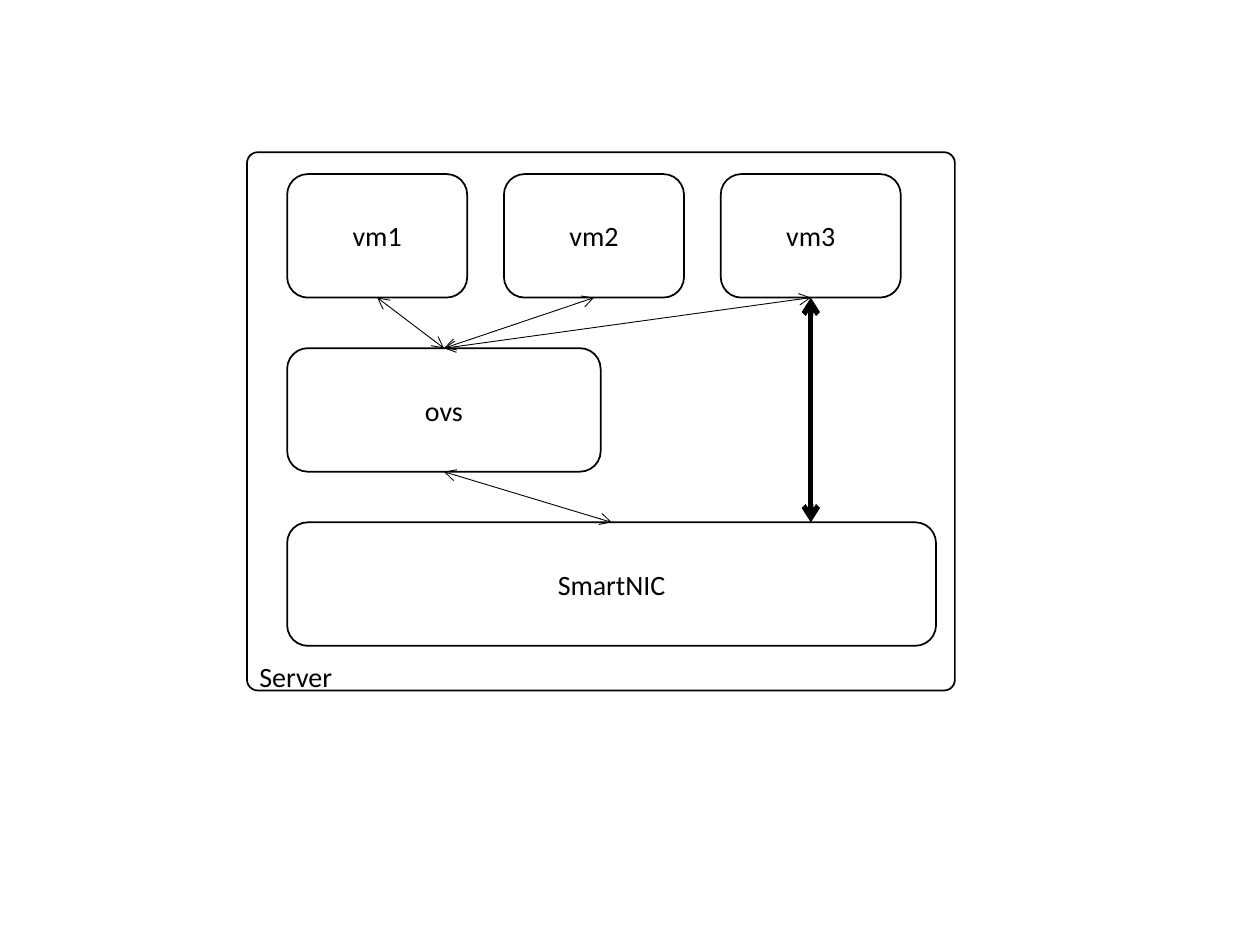
from lxml import etree
from pptx import Presentation
from pptx.dml.color import RGBColor
from pptx.enum.shapes import MSO_CONNECTOR, MSO_SHAPE
from pptx.enum.text import MSO_ANCHOR, MSO_AUTO_SIZE, PP_ALIGN
from pptx.oxml.ns import qn
from pptx.util import Cm, Pt

BLACK = RGBColor(0x00, 0x00, 0x00)
ROUNDED = MSO_SHAPE.ROUNDED_RECTANGLE
STRAIGHT = MSO_CONNECTOR.STRAIGHT
MIDDLE = MSO_ANCHOR.MIDDLE
CENTER = PP_ALIGN.CENTER
FIT_SHAPE = MSO_AUTO_SIZE.SHAPE_TO_FIT_TEXT
TOP, BOTTOM = 0, 2

LEFT = 5.79
BOX_HEIGHT = 2.49
VM_WIDTH, VM_STEP = 3.63, 4.37
VM_TOP, OVS_TOP, NIC_TOP = 3.51, 7.02, 10.53

presentation = Presentation()
presentation.slide_width = Cm(25.4)
presentation.slide_height = Cm(19.05)
slide = presentation.slides.add_slide(presentation.slide_layouts[6])


def add_box(left, top, width, height, label=""):
    shape = slide.shapes.add_shape(ROUNDED, Cm(left), Cm(top), Cm(width), Cm(height))
    shape.shadow.inherit = False
    shape.fill.background()
    shape.line.color.rgb = BLACK
    shape.line.width = Pt(1)
    if label:
        shape.text_frame.text = label
        shape.text_frame.vertical_anchor = MIDDLE
        paragraph = shape.text_frame.paragraphs[0]
        paragraph.alignment = CENTER
        format_run(paragraph.runs[0])
    return shape


def format_run(run):
    run.font.name = "Calibri"
    run.font.size = Pt(16)
    run.font.color.rgb = BLACK


# Server frame and its label
server = add_box(4.98, 3.07, 14.27, 10.85)
server.adjustments[0] = 0.02
server_label = slide.shapes.add_textbox(Cm(4.98), Cm(13.18), Cm(1.98), Cm(0.94))
server_label.text_frame.text = "Server"
server_label.text_frame.auto_size = FIT_SHAPE
format_run(server_label.text_frame.paragraphs[0].runs[0])

# Virtual machines, switch and network card
vms = [
    add_box(LEFT + index * VM_STEP, VM_TOP, VM_WIDTH, BOX_HEIGHT, f"vm{index + 1}")
    for index in range(3)
]
ovs = add_box(LEFT, OVS_TOP, 6.32, BOX_HEIGHT, "ovs")
smart_nic = add_box(LEFT, NIC_TOP, 13.08, BOX_HEIGHT, "SmartNIC")

# Two-way arrows: start box, side, end box, side, width
links = [(vm, BOTTOM, ovs, TOP, 0.5) for vm in vms]
links.append((smart_nic, TOP, ovs, BOTTOM, 0.5))
links.append((None, TOP, vms[2], BOTTOM, 3))  # direct path to the card's top edge
direct_x = vms[2].left + vms[2].width // 2

for start, start_side, end, end_side, width in links:
    connector = slide.shapes.add_connector(
        STRAIGHT, direct_x, smart_nic.top, direct_x, smart_nic.top
    )
    if start is not None:
        connector.begin_connect(start, start_side)
    connector.end_connect(end, end_side)
    connector.line.color.rgb = BLACK
    connector.line.width = Pt(width)
    line = connector.line._get_or_add_ln()
    for tag in ("a:headEnd", "a:tailEnd"):
        etree.SubElement(line, qn(tag), type="arrow")
    etree.SubElement(connector._element.spPr, qn("a:effectLst"))

presentation.save("out.pptx")
